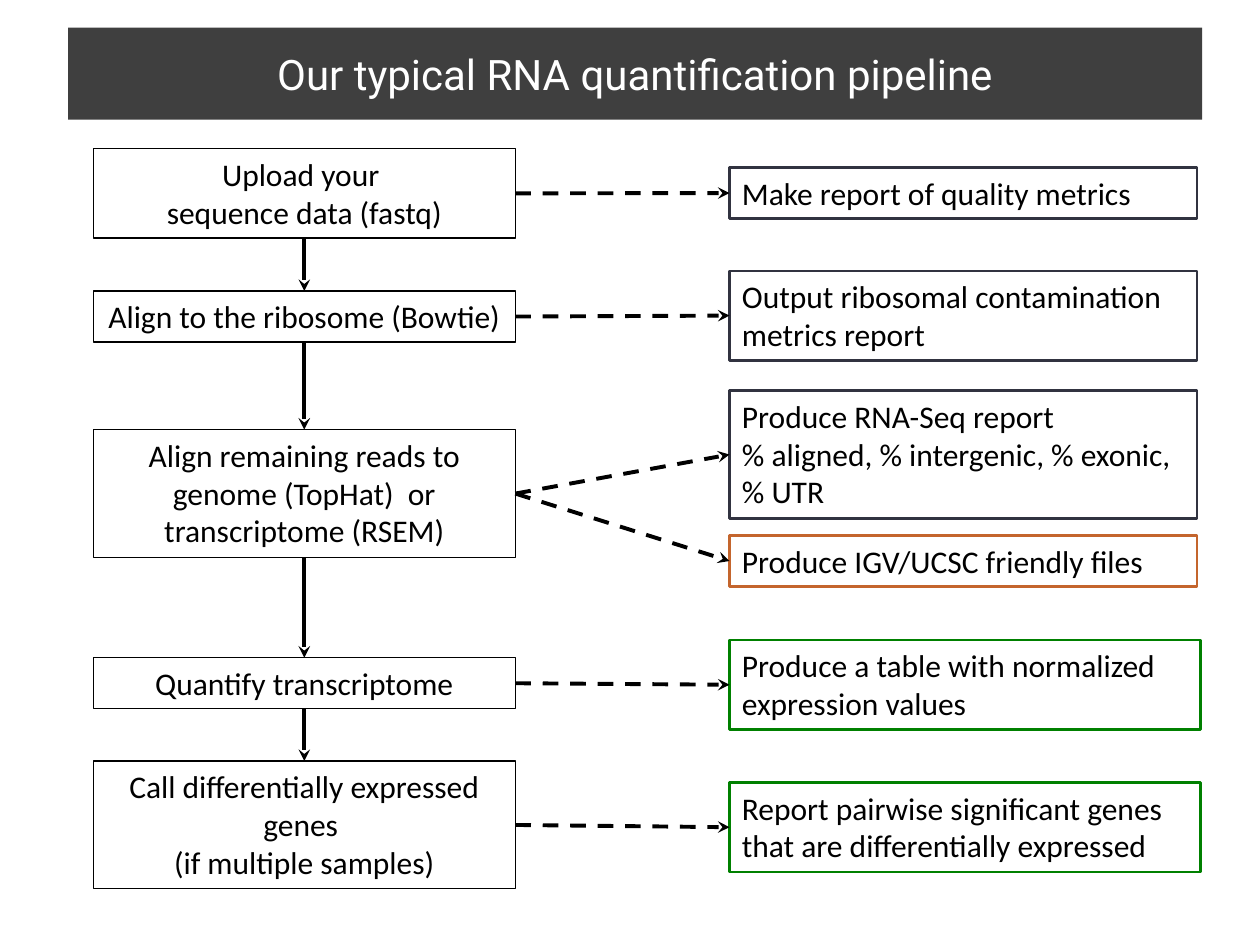
from dataclasses import dataclass

from lxml import etree
from pptx import Presentation
from pptx import util as u
from pptx.dml.color import RGBColor
from pptx.enum import dml, shapes, text
from pptx.oxml.ns import qn

BLACK, WHITE, CHARCOAL = "000000", "FFFFFF", "3F3F3F"
SLATE, ORANGE, GREEN = "313340", "C4652D", "008000"

STEP_LEFT, STEP_WIDTH = 0.74, 3.35
OUTPUT_LEFT = 5.79
PADDING, LINE_HEIGHT = 0.1, 0.305

# Connection sites of a rectangle
TOP, LEFT, BOTTOM, RIGHT = range(4)


@dataclass
class Output:
    top: float
    lines: int
    paragraphs: list[str]
    color: str = SLATE
    width: float = 3.71


@dataclass
class Step:
    top: float
    lines: int
    paragraphs: list[str]
    outputs: list[Output]


PIPELINE = [
    Step(1.18, 2, ["Upload your ", "sequence data (fastq)"],
         [Output(1.33, 1, ["Make report of quality metrics"])]),
    Step(2.31, 1, ["Align to the ribosome (Bowtie)"],
         [Output(2.15, 2, ["Output ribosomal contamination metrics report"])]),
    Step(3.41, 3, ["Align remaining reads to genome (TopHat)  or transcriptome (RSEM)"],
         [Output(3.1, 3, ["Produce RNA-Seq report",
                          "% aligned, % intergenic, % exonic, % UTR"]),
          Output(4.25, 1, ["Produce IGV/UCSC friendly files"], ORANGE)]),
    Step(5.22, 1, ["Quantify transcriptome"],
         [Output(5.08, 2, ["Produce a table with normalized expression values"],
                 GREEN, 3.74)]),
    Step(6.04, 3, ["Call differentially expressed genes ", "(if multiple samples)"],
         [Output(6.21, 2, ["Report pairwise significant genes that are "
                           "differentially expressed"], GREEN, 3.74)]),
]


def rgb(color: str) -> RGBColor:
    return RGBColor.from_string(color)


def add_run(paragraph, words: str, font: str, size: float, color: str) -> None:
    run = paragraph.add_run()
    run.text = words
    run.font.name = font
    run.font.size = u.Pt(size)
    run.font.color.rgb = rgb(color)


def add_title(slide, words: str) -> None:
    title = slide.shapes.title
    title.left, title.top = u.Inches(0.54), u.Inches(0.22)
    title.width, title.height = u.Inches(9), u.Inches(0.73)
    title.fill.solid()
    title.fill.fore_color.rgb = rgb(CHARCOAL)
    frame = title.text_frame
    frame.auto_size = text.MSO_AUTO_SIZE.NONE
    frame.vertical_anchor = text.MSO_ANCHOR.MIDDLE
    paragraph = frame.paragraphs[0]
    paragraph.alignment = text.PP_ALIGN.CENTER
    add_run(paragraph, words, "Roboto", 24, WHITE)


def add_box(slide, item: Step | Output, left: float, width: float, color: str,
            line_width: float, alignment: text.PP_ALIGN):
    """Draw an outlined text box whose height follows its number of lines."""
    height = PADDING + LINE_HEIGHT * item.lines
    box = slide.shapes.add_textbox(u.Inches(left), u.Inches(item.top),
                                   u.Inches(width), u.Inches(height))
    box.line.color.rgb = rgb(color)
    box.line.width = u.Pt(line_width)
    frame = box.text_frame
    frame.word_wrap = True
    for index, words in enumerate(item.paragraphs):
        paragraph = frame.add_paragraph() if index else frame.paragraphs[0]
        paragraph.alignment = alignment
        add_run(paragraph, words, "Calibri", 18, BLACK)
    return box


def add_arrow(slide, start, start_site: int, end, end_site: int,
              dashed: bool = False) -> None:
    arrow = slide.shapes.add_connector(shapes.MSO_CONNECTOR.STRAIGHT, 0, 0, 0, 0)
    arrow.begin_connect(start, start_site)
    arrow.end_connect(end, end_site)
    arrow.line.color.rgb = rgb(BLACK)
    arrow.line.width = u.Pt(2.25)
    if dashed:
        arrow.line.dash_style = dml.MSO_LINE.DASH
    properties = arrow._element.spPr
    line = properties.find(qn("a:ln"))
    etree.SubElement(line, qn("a:tailEnd"), type="stealth")
    etree.SubElement(properties, qn("a:effectLst"))


def main() -> None:
    presentation = Presentation()
    presentation.slide_width = u.Inches(10)
    presentation.slide_height = u.Inches(7.5)
    slide = presentation.slides.add_slide(presentation.slide_layouts[5])
    add_title(slide, "Our typical RNA quantification pipeline")

    # Steps run down the left, each pointing to its outputs on the right
    previous = None
    for step in PIPELINE:
        step_box = add_box(slide, step, STEP_LEFT, STEP_WIDTH, BLACK, 0.75,
                           text.PP_ALIGN.CENTER)
        if previous is not None:
            add_arrow(slide, previous, BOTTOM, step_box, TOP)
        for output in step.outputs:
            output_box = add_box(slide, output, OUTPUT_LEFT, output.width,
                                 output.color, 1.5, text.PP_ALIGN.LEFT)
            add_arrow(slide, step_box, RIGHT, output_box, LEFT, dashed=True)
        previous = step_box

    presentation.save("out.pptx")


if __name__ == "__main__":
    main()
